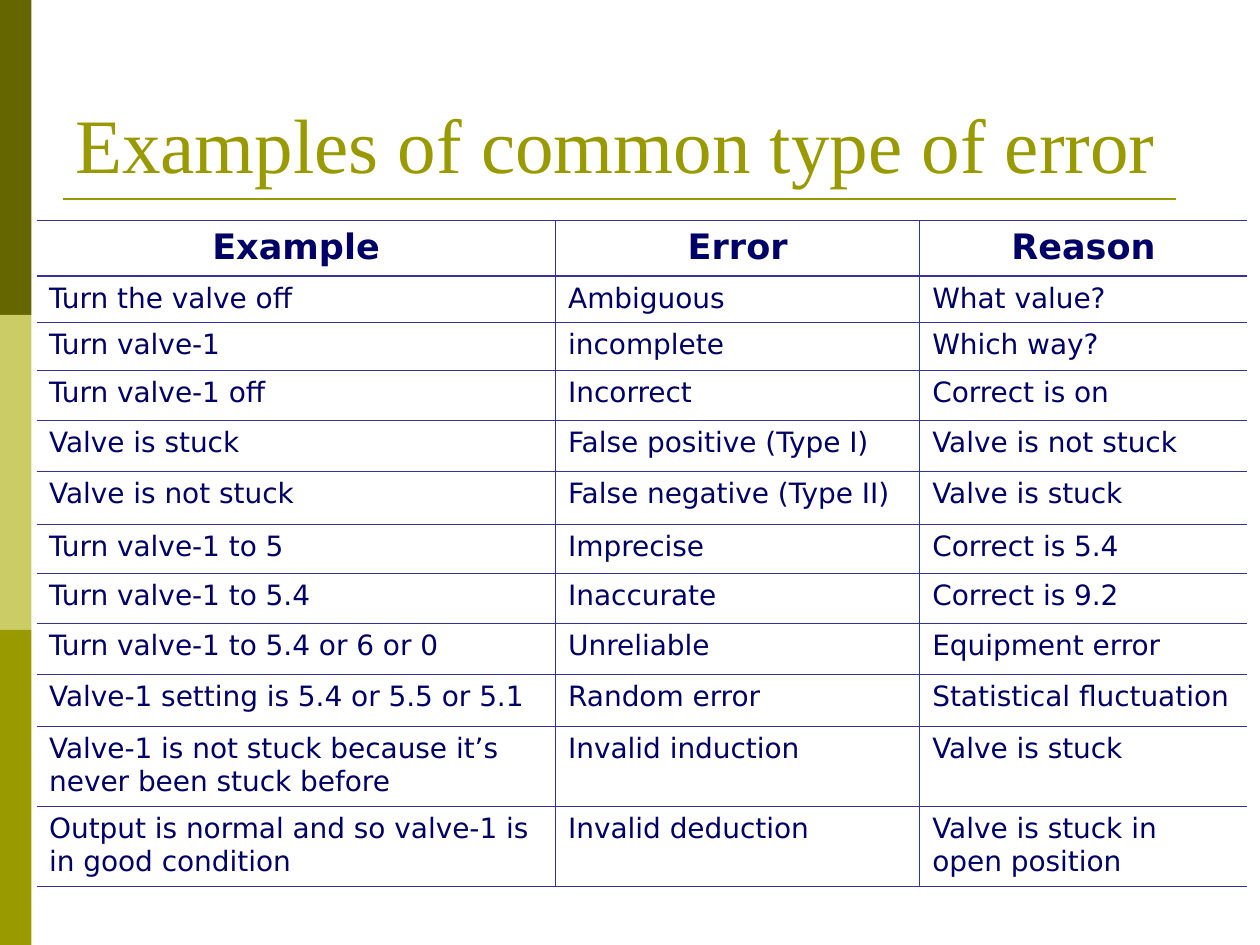
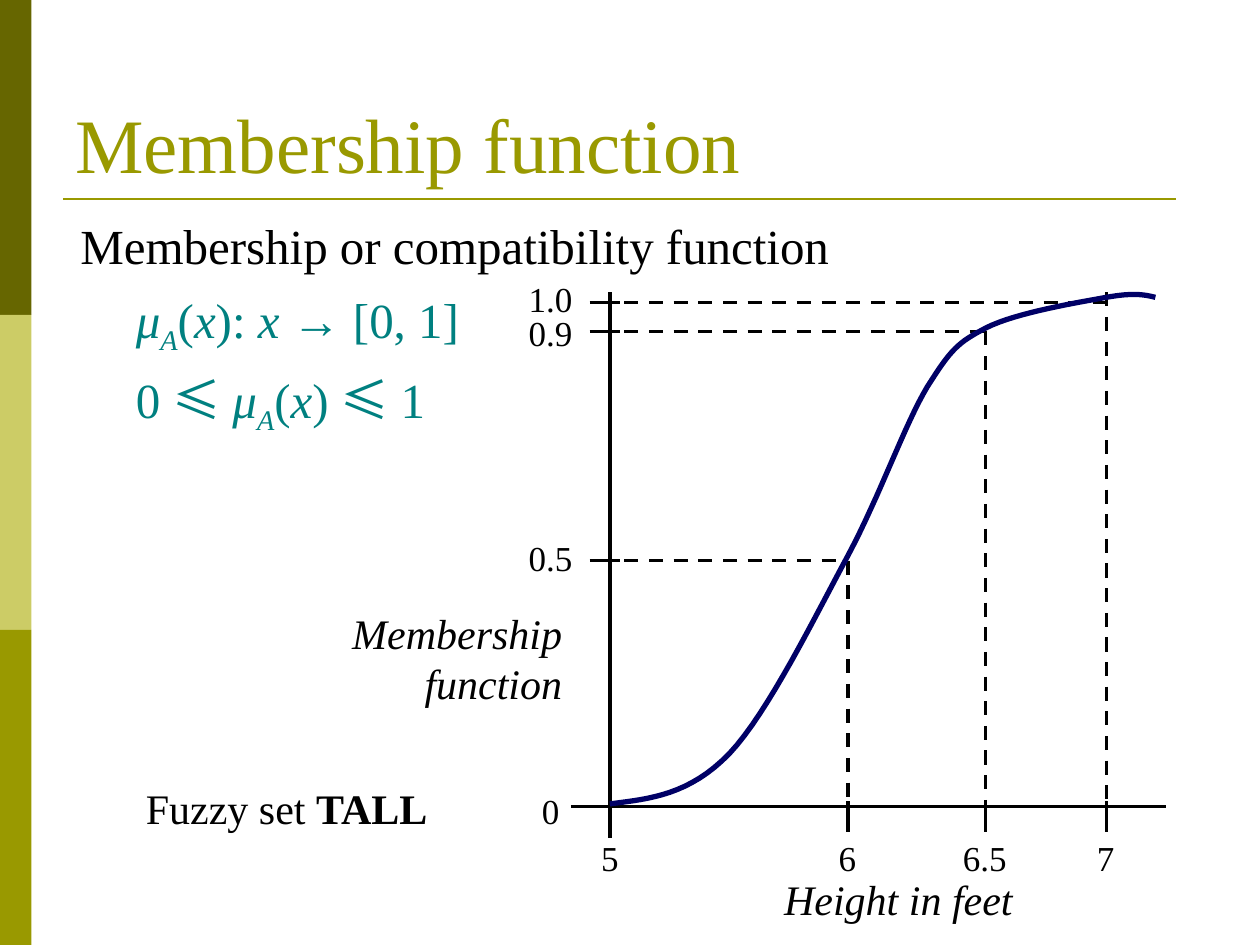
from pptx import Presentation
from pptx.dml.color import RGBColor
from pptx.enum.dml import MSO_LINE
from pptx.enum.shapes import MSO_CONNECTOR, MSO_SHAPE
from pptx.enum.text import MSO_ANCHOR, PP_ALIGN
from pptx.oxml.ns import qn
from pptx.util import Inches, Pt
from lxml.etree import SubElement

DARK_OLIVE = RGBColor(0x66, 0x66, 0x00)
PALE_OLIVE = RGBColor(0xCC, 0xCC, 0x66)
OLIVE = RGBColor(0x99, 0x99, 0x00)
NAVY = RGBColor(0x00, 0x00, 0x66)
GRID_BLUE = RGBColor(0x33, 0x33, 0x99)
TEAL = RGBColor(0x00, 0x80, 0x80)
BLACK = RGBColor(0x00, 0x00, 0x00)

SERIF, SANS, CJK = "Times New Roman", "DejaVu Sans", "Noto Sans CJK SC"
TITLE = dict(name=SERIF, size=Pt(44), color=OLIVE)
LEAD = dict(name=SERIF, size=Pt(28), color=BLACK)
FORMULA = LEAD | dict(color=TEAL)
CAPTION = LEAD | dict(size=Pt(24))
AXIS_TITLE = CAPTION | dict(italic=True)
TICK_LABEL = LEAD | dict(size=Pt(20))
HEADER_CELL = dict(name=SANS, size=Pt(20), color=NAVY, bold=True)
BODY_CELL = HEADER_CELL | dict(size=Pt(16), bold=False)

ITALIC = dict(italic=True)
SUBSCRIPT = dict(italic=True, baseline=-25000)
WIDE_SIGN = dict(name=CJK)
MU_A_X = [("μ", ITALIC), ("A", SUBSCRIPT), ("(", {}), ("x", ITALIC)]

COLUMN_WIDTHS = [4.12, 2.89, 2.6]
ROW_HEIGHTS = [0.44, 0.37, 0.38, 0.4, 0.4, 0.42, 0.39, 0.4, 0.4, 0.42, 0.63, 0.63]
ERRORS = [
    ("Example", "Error", "Reason"),
    ("Turn the valve off", "Ambiguous", "What value?"),
    ("Turn valve-1", "incomplete", "Which way?"),
    ("Turn valve-1 off", "Incorrect", "Correct is on"),
    ("Valve is stuck", "False positive (Type I)", "Valve is not stuck"),
    ("Valve is not stuck", "False negative (Type II)", "Valve is stuck"),
    ("Turn valve-1 to 5", "Imprecise", "Correct is 5.4"),
    ("Turn valve-1 to 5.4", "Inaccurate", "Correct is 9.2"),
    ("Turn valve-1 to 5.4 or 6 or 0", "Unreliable", "Equipment error"),
    ("Valve-1 setting is 5.4 or 5.5 or 5.1", "Random error", "Statistical fluctuation"),
    ("Valve-1 is not stuck because it’s never been stuck before",
     "Invalid induction", "Valve is stuck"),
    ("Output is normal and so valve-1 is in good condition",
     "Invalid deduction", "Valve is stuck in open position"),
]

AXIS_X, AXIS_Y = 4.84, 6.4
# Height in feet, position on the axis, top of its guide
HEIGHT_TICKS = [("6", 6.73, 4.45), ("6.5", 7.82, 2.63), ("7", 8.78, 2.32)]
# Membership, position on the axis, right end of its guide, top of its label
GRADE_TICKS = [("1.0", 2.4, 8.78, 2.15), ("0.9", 2.63, 7.83, 2.42), ("0.5", 4.45, 6.73, 4.21)]
CURVE_START = (AXIS_X, 6.38)
CURVE_SEGMENTS = [
    ((5.16, 6.34), (5.47, 6.31), (5.79, 5.98)),
    ((6.1, 5.65), (6.47, 4.89), (6.73, 4.41)),
    ((6.99, 3.92), (7.18, 3.37), (7.36, 3.07)),
    ((7.55, 2.77), (7.6, 2.72), (7.83, 2.6)),
    ((8.07, 2.48), (8.56, 2.4), (8.78, 2.36)),
    ((9, 2.32), (9.09, 2.34), (9.17, 2.36)),
]


def write(paragraph, runs, base):
    """Fill a paragraph from a string or from (text, format changes) pairs."""
    for text, changes in [(runs, {})] if isinstance(runs, str) else runs:
        run = paragraph.add_run()
        run.text = text
        for key, value in (base | changes).items():
            if key == "color":
                run.font.color.rgb = value
            elif key == "baseline":
                run._r.get_or_add_rPr().set("baseline", str(value))
            else:
                setattr(run.font, key, value)
        SubElement(run._r.get_or_add_rPr(), qn("a:ea"), typeface=run.font.name)


def add_text(slide, box, lines, base, align=PP_ALIGN.LEFT, anchor=MSO_ANCHOR.TOP):
    frame = slide.shapes.add_textbox(*map(Inches, box)).text_frame
    frame.word_wrap = True
    frame.vertical_anchor = anchor
    for index, runs in enumerate(lines):
        paragraph = frame.add_paragraph() if index else frame.paragraphs[0]
        paragraph.alignment = align
        write(paragraph, runs, base)


def add_line(slide, start, end, color=BLACK, width=2, dash=None):
    line = slide.shapes.add_connector(MSO_CONNECTOR.STRAIGHT, *map(Inches, start + end))
    line.line.color.rgb = color
    line.line.width = Pt(width)
    if dash:
        line.line.dash_style = dash
    SubElement(line._element.spPr, qn("a:effectLst"))


def add_titled_slide(deck, title):
    slide = deck.slides.add_slide(deck.slide_layouts[6])
    for index, color in enumerate((DARK_OLIVE, PALE_OLIVE, OLIVE)):
        band = slide.shapes.add_shape(
            MSO_SHAPE.RECTANGLE, 0, Inches(2.5 * index), Inches(0.25), Inches(2.5))
        band.shadow.inherit = False
        band.fill.solid()
        band.fill.fore_color.rgb = color
        band.line.fill.background()
    add_line(slide, (0.5, 1.58), (9.33, 1.58), OLIVE, 1.5)
    add_text(slide, (0.5, 0.3, 9, 1.25), [title], TITLE, anchor=MSO_ANCHOR.BOTTOM)
    return slide


def set_borders(cell, widths):
    """Draw left, right, top and bottom borders; a width of 0 hides one."""
    properties = cell._tc.get_or_add_tcPr()
    for position, (side, width) in enumerate(zip("LRTB", widths)):
        border = SubElement(properties, qn(f"a:ln{side}"), w=str(Pt(width)))
        properties.insert(position, border)
        if width:
            fill = SubElement(border, qn("a:solidFill"))
            SubElement(fill, qn("a:srgbClr"), val=str(GRID_BLUE))
        else:
            SubElement(border, qn("a:noFill"))


def add_error_table(slide):
    thin, thick = 0.45, 1.08
    last_column = len(COLUMN_WIDTHS) - 1
    table = slide.shapes.add_table(
        len(ERRORS), len(COLUMN_WIDTHS), Inches(0.29), Inches(1.75),
        Inches(sum(COLUMN_WIDTHS)), Inches(sum(ROW_HEIGHTS))).table
    table.first_row = table.horz_banding = False
    for column, width in zip(table.columns, COLUMN_WIDTHS):
        column.width = Inches(width)
    for r, (row, height, texts) in enumerate(zip(table.rows, ROW_HEIGHTS, ERRORS)):
        row.height = Inches(height)
        for c, (cell, text) in enumerate(zip(row.cells, texts)):
            cell.fill.background()
            set_borders(cell, (thin if c else 0, thin if c < last_column else 0,
                               thick if r == 1 else thin, thick if r == 0 else thin))
            paragraph = cell.text_frame.paragraphs[0]
            paragraph.alignment = PP_ALIGN.LEFT if r else PP_ALIGN.CENTER
            write(paragraph, text, BODY_CELL if r else HEADER_CELL)


def add_tick_label(slide, text, left, top, width=0.94):
    add_text(slide, (left, top, width, 0.44), [text], TICK_LABEL, PP_ALIGN.CENTER)


def add_axes(slide):
    add_line(slide, (AXIS_X, 6.65), (AXIS_X, 2.32))
    add_line(slide, (4.53, AXIS_Y), (9.25, AXIS_Y))
    add_tick_label(slide, "0", 3.9, 6.22)
    add_tick_label(slide, "5", AXIS_X - 0.47, 6.59)
    for label, x, guide_top in HEIGHT_TICKS:
        add_line(slide, (x, 6.6), (x, 6.36))
        add_line(slide, (x, guide_top), (x, 6.35), dash=MSO_LINE.DASH)
        add_tick_label(slide, label, x - 0.36, 6.59, 0.71)
    for label, y, guide_right, label_top in GRADE_TICKS:
        add_line(slide, (4.68, y), (4.92, y))
        add_line(slide, (4.76, y), (guide_right, y), dash=MSO_LINE.DASH)
        add_tick_label(slide, label, 3.9, label_top)
    add_text(slide, (5.79, 6.88, 2.68, 0.5), ["Height in feet"], AXIS_TITLE, PP_ALIGN.CENTER)
    add_text(slide, (2.51, 4.77, 2.05, 0.9), ["Membership", "function"],
             AXIS_TITLE, PP_ALIGN.RIGHT)


def bezier_points(start, segments, steps=16):
    """Sample the chained cubic Bézier segments after the start point."""
    points = []
    for first, second, end in segments:
        for step in range(1, steps + 1):
            t = step / steps
            weights = ((1 - t) ** 3, 3 * t * (1 - t) ** 2, 3 * t * t * (1 - t), t ** 3)
            points.append(tuple(
                Inches(sum(w * v for w, v in zip(weights, values)))
                for values in zip(start, first, second, end)))
        start = end
    return points


def add_membership_curve(slide):
    builder = slide.shapes.build_freeform(*map(Inches, CURVE_START))
    builder.add_line_segments(bezier_points(CURVE_START, CURVE_SEGMENTS), close=False)
    curve = builder.convert_to_shape()
    curve.shadow.inherit = False
    curve.fill.background()
    curve.line.color.rgb = NAVY
    curve.line.width = Pt(3)


def main():
    deck = Presentation()
    deck.slide_width, deck.slide_height = Inches(10), Inches(7.5)

    add_error_table(add_titled_slide(deck, "Examples of common type of error"))

    membership = add_titled_slide(deck, "Membership function")
    add_text(membership, (0.54, 1.66, 8.58, 0.57),
             ["Membership or compatibility function"], LEAD)
    mapping = MU_A_X + [("): ", {}), ("x", ITALIC), (" → [0, 1]", {})]
    bounds = [("0 ", {}), ("≤ ", WIDE_SIGN), *MU_A_X, (") ", {}), ("≤ ", WIDE_SIGN), ("1", {})]
    add_text(membership, (0.98, 2.25, 3.39, 0.63), [mapping], FORMULA)
    add_text(membership, (0.98, 2.88, 2.68, 0.63), [bounds], FORMULA)
    add_axes(membership)
    add_membership_curve(membership)
    add_text(membership, (1.06, 6.16, 2.84, 0.5),
             [[("Fuzzy set ", {}), ("TALL", dict(bold=True))]], CAPTION)

    deck.save("out.pptx")


if __name__ == "__main__":
    main()
